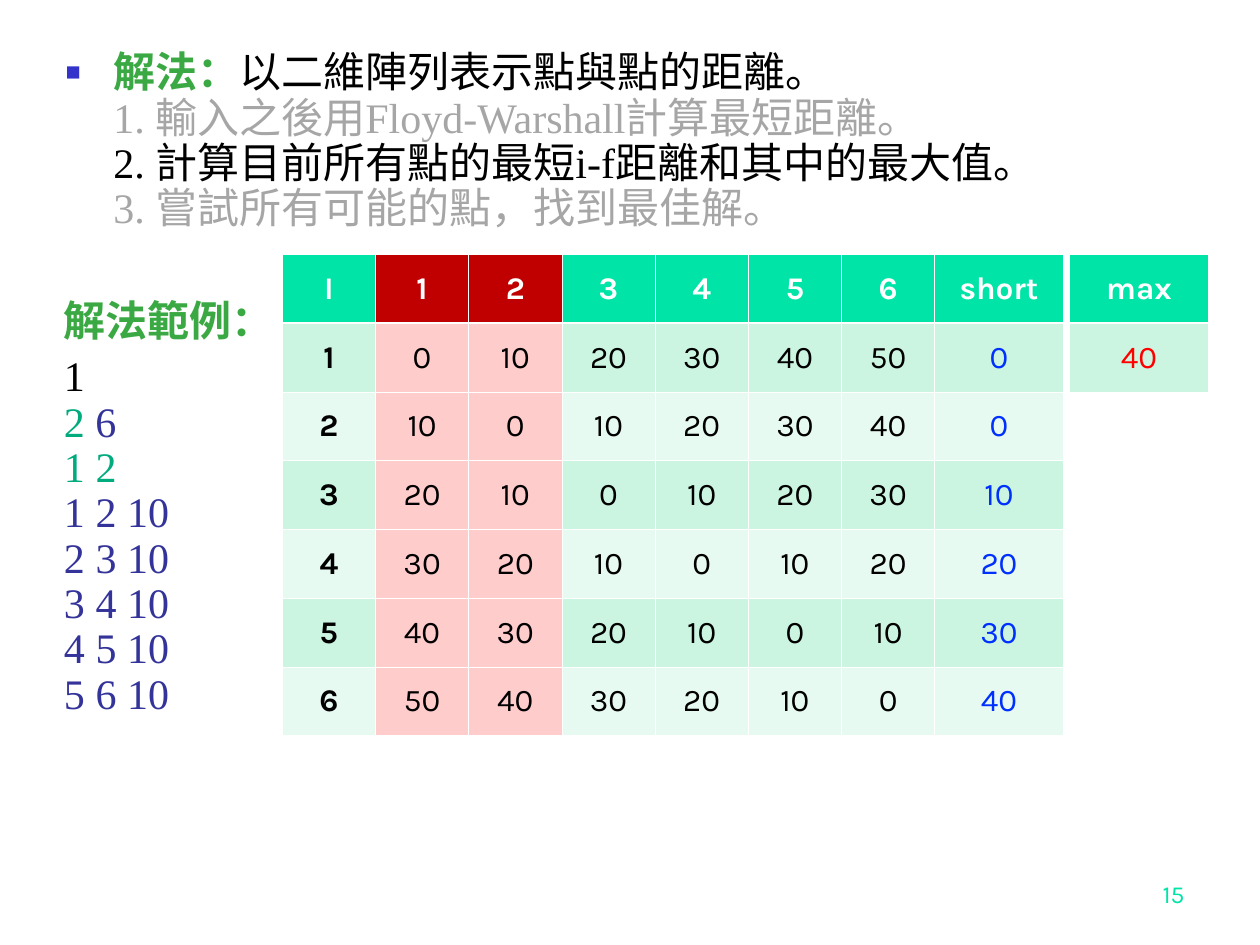
"""Build the slide on choosing a point with a table of shortest distances."""
from dataclasses import dataclass

from lxml import etree
from pptx import Presentation
from pptx.dml.color import RGBColor
from pptx.enum.text import MSO_ANCHOR, MSO_AUTO_SIZE, PP_ALIGN
from pptx.oxml.ns import qn
from pptx.util import Inches, Pt

TOP, MIDDLE, BOTTOM = MSO_ANCHOR.TOP, MSO_ANCHOR.MIDDLE, MSO_ANCHOR.BOTTOM
LEFT, CENTER, RIGHT = PP_ALIGN.LEFT, PP_ALIGN.CENTER, PP_ALIGN.RIGHT
FIXED, GROW = MSO_AUTO_SIZE.NONE, MSO_AUTO_SIZE.SHAPE_TO_FIT_TEXT


@dataclass(frozen=True)
class Theme:
    serif: str = "Times New Roman"
    sans: str = "Karla"
    body_size: int = 24
    table_size: int = 18
    number_size: int = 14
    black: str = "000000"
    white: str = "FFFFFF"
    gray: str = "A6A6A6"
    heading: str = "3BA943"
    bullet: str = "3333CC"
    teal: str = "00AB7E"
    indigo: str = "333399"
    blue: str = "0030FE"
    red: str = "FF0000"
    header: str = "00E4A8"
    chosen_header: str = "C00000"
    chosen: str = "FFCCCC"
    bands: tuple = ("CBF5E1", "E7FAF1")
    thin: float = 0.45
    thick: float = 1.47


THEME = Theme()

SOLUTION = [[
    [("解法：", THEME.heading), ("以二維陣列表示點與點的距離。", THEME.black)],
    [("1. 輸入之後用Floyd-Warshall計算最短距離。", THEME.gray)],
    [("2. 計算目前所有點的最短i-f距離和其中的最大值。", THEME.black)],
    [("3. 嘗試所有可能的點，找到最佳解。", THEME.gray)],
]]
EDGES = ["1 2 10", "2 3 10", "3 4 10", "4 5 10", "5 6 10"]
EXAMPLE = [
    [[("解法範例：", THEME.heading)]],
    [[("1", THEME.black)],
     [("2 ", THEME.teal), ("6", THEME.indigo)],
     [("1 2", THEME.teal)]] + [[(edge, THEME.indigo)] for edge in EDGES],
]
DISTANCES = [
    ["I", "1", "2", "3", "4", "5", "6", "short"],
    ["1", "0", "10", "20", "30", "40", "50", "0"],
    ["2", "10", "0", "10", "20", "30", "40", "0"],
    ["3", "20", "10", "0", "10", "20", "30", "10"],
    ["4", "30", "20", "10", "0", "10", "20", "20"],
    ["5", "40", "30", "20", "10", "0", "10", "30"],
    ["6", "50", "40", "30", "20", "10", "0", "40"],
]
MAXIMUM = [["max"], ["40"]]
CHOSEN_COLUMNS = (1, 2)
PAGE_NUMBER = "15"

TABLE_TOP = 2.02
TABLE_HEIGHT = 3.82
ROW_HEIGHT = TABLE_HEIGHT / len(DISTANCES)
DISTANCE_WIDTHS = [0.74] * 7 + [1.02]


def style(span, font, size, color, bold=False):
    span.font.name = font
    span.font.size = Pt(size)
    span.font.bold = bold
    span.font.color.rgb = RGBColor.from_string(color)


def place(box, left, top, width, height):
    box.left, box.top = Inches(left), Inches(top)
    box.width, box.height = Inches(width), Inches(height)


def set_frame(frame, anchor, fit):
    frame.word_wrap = True
    frame.vertical_anchor = anchor
    frame.auto_size = fit


def add_bullet(para, character, color, percent, indent):
    properties = para._p.get_or_add_pPr()
    properties.set("marL", str(Inches(indent)))
    properties.set("indent", str(-Inches(indent)))
    paint = etree.SubElement(properties, qn("a:buClr"))
    etree.SubElement(paint, qn("a:srgbClr"), val=color)
    etree.SubElement(properties, qn("a:buSzPct"), val=str(percent * 1000))
    etree.SubElement(properties, qn("a:buChar"), char=character)


def write_paragraphs(frame, paragraphs):
    for index, lines in enumerate(paragraphs):
        para = frame.add_paragraph() if index else frame.paragraphs[0]
        para.alignment = LEFT
        para.line_spacing = 0.9
        para.space_before = Pt(6 if index else 0)
        for row, line in enumerate(lines):
            if row:
                para.add_line_break()
            for text, color in line:
                span = para.add_run()
                span.text = text
                style(span, THEME.serif, THEME.body_size, color, color == THEME.heading)


def set_borders(cell, row):
    widths = {"L": THEME.thin, "R": THEME.thin,
              "T": THEME.thick if row == 1 else THEME.thin,
              "B": THEME.thick if row == 0 else THEME.thin}
    properties = cell._tc.get_or_add_tcPr()
    for index, (side, width) in enumerate(widths.items()):
        line = etree.Element(qn(f"a:ln{side}"), w=str(Pt(width)))
        fill = etree.SubElement(line, qn("a:solidFill"))
        etree.SubElement(fill, qn("a:srgbClr"), val=THEME.white)
        properties.insert(index, line)


def add_grid(page, left, widths, rows, chosen_columns, result_color):
    """Add a table whose last column holds results in their own colour."""
    frame = page.shapes.add_table(
        len(rows), len(widths), Inches(left), Inches(TABLE_TOP),
        Inches(sum(widths)), Inches(ROW_HEIGHT * len(rows)))
    table = frame.table
    table.horz_banding = False
    for column, width in zip(table.columns, widths):
        column.width = Inches(width)
    for r, values in enumerate(rows):
        for c, value in enumerate(values):
            cell = table.cell(r, c)
            chosen = c in chosen_columns
            result = c == len(widths) - 1
            if r == 0:
                fill, color = THEME.chosen_header if chosen else THEME.header, THEME.white
            else:
                fill = THEME.chosen if chosen else THEME.bands[(r - 1) % 2]
                color = result_color if result else THEME.black
            cell.fill.solid()
            cell.fill.fore_color.rgb = RGBColor.from_string(fill)
            set_borders(cell, r)
            cell.vertical_anchor = MIDDLE
            cell.text_frame.text = value
            para = cell.text_frame.paragraphs[0]
            para.alignment = CENTER
            bold = r == 0 or (c == 0 and not result)
            style(para.runs[0], THEME.sans, THEME.table_size, color, bold)


def main():
    deck = Presentation()
    deck.slide_width, deck.slide_height = Inches(10), Inches(7.5)
    page = deck.slides.add_slide(deck.slide_layouts[1])
    title = page.shapes.title
    title.element.getparent().remove(title.element)

    solution = page.placeholders[1]
    place(solution, 0.42, 0.36, 8.83, 1.65)
    set_frame(solution.text_frame, TOP, FIXED)
    add_bullet(solution.text_frame.paragraphs[0], "■", THEME.bullet, 60, 0.38)
    write_paragraphs(solution.text_frame, SOLUTION)

    number = page.shapes.add_textbox(Inches(7.42), Inches(6.76), Inches(2.08), Inches(0.5))
    set_frame(number.text_frame, BOTTOM, FIXED)
    number.text_frame.text = PAGE_NUMBER
    para = number.text_frame.paragraphs[0]
    para.alignment = RIGHT
    style(para.runs[0], THEME.sans, THEME.number_size, THEME.header)

    add_grid(page, 2.24, DISTANCE_WIDTHS, DISTANCES, CHOSEN_COLUMNS, THEME.blue)
    add_grid(page, 8.49, [1.1], MAXIMUM, (), THEME.red)

    example = page.shapes.add_textbox(Inches(0.41), Inches(2.33), Inches(2.76), Inches(3.42))
    set_frame(example.text_frame, TOP, GROW)
    write_paragraphs(example.text_frame, EXAMPLE)

    deck.save("out.pptx")


if __name__ == "__main__":
    main()
